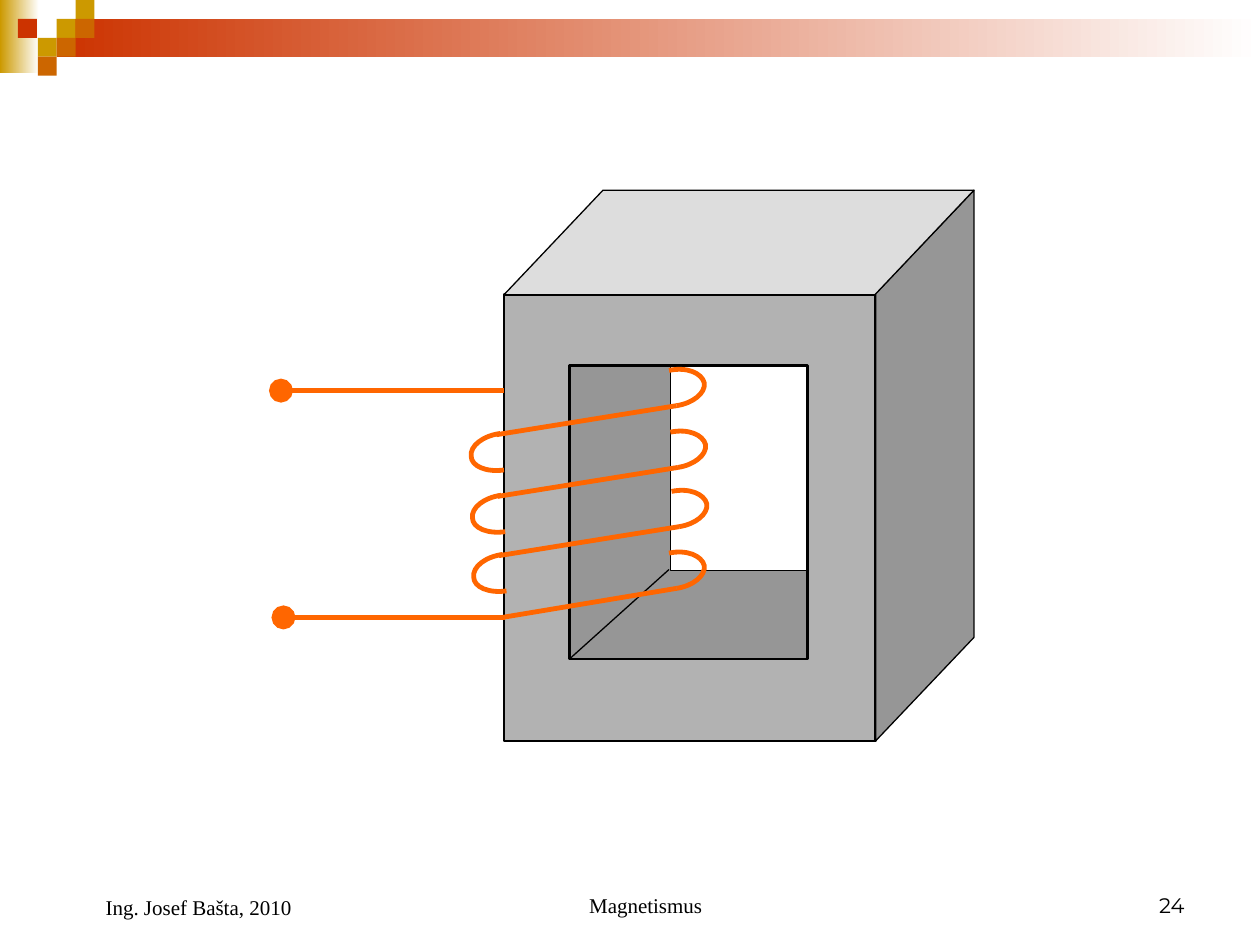
from dataclasses import dataclass

from lxml import etree
from pptx import Presentation
from pptx import util as u
from pptx.dml.color import RGBColor
from pptx.enum import shapes, text
from pptx.oxml import ns

Inches = u.Inches
KIND = shapes.MSO_SHAPE


@dataclass(frozen=True)
class Theme:
    gold: str = "CC9900"
    red: str = "CC3300"
    amber: str = "CC6600"
    white: str = "FFFFFF"
    black: str = "000000"
    front: str = "B2B2B2"
    shade: str = "969696"
    top: str = "DDDDDD"
    wire: str = "FF6600"
    serif: str = "Times New Roman"
    sans: str = "Montserrat"
    footer_size: float = 12
    thin: float = 0.75
    edge: float = 1.5
    wire_width: float = 2.75


THEME = Theme()


def color(value):
    return RGBColor.from_string(value)


def apply(target, formats):
    for name, value in formats.items():
        setattr(target, name, value)


def set_line(shape, value, width):
    shape.line.color.rgb = color(value)
    shape.line.width = u.Pt(width)


def add_block(group, kind, box, fill, width=None):
    """Add a preset shape; a fill of two colours runs from left to right."""
    shape = group.shapes.add_shape(kind, *map(Inches, box))
    shape.shadow.inherit = False
    if isinstance(fill, tuple):
        shape.fill.gradient()
        shape.fill.gradient_angle = 180
        for stop, value in zip(shape.fill.gradient_stops, reversed(fill)):
            stop.color.rgb = color(value)
    else:
        shape.fill.solid()
        shape.fill.fore_color.rgb = color(fill)
    if width:
        set_line(shape, THEME.black, width)
    else:
        shape.line.fill.background()
    return shape


def add_line(group, start, end, value, width, dot=False):
    line = group.shapes.add_connector(
        shapes.MSO_CONNECTOR.STRAIGHT, *map(Inches, (*start, *end)))
    set_line(line, value, width)
    if dot:
        etree.SubElement(line.line._get_or_add_ln(), ns.qn("a:tailEnd"),
                         type="oval", w="lg", len="lg")
    etree.SubElement(line._element.spPr, ns.qn("a:effectLst"))


def add_curve(group, origin, points, value, width):
    """Draw cubic curves: a start point, then three points for each curve."""
    points = [(Inches(origin[0] + x), Inches(origin[1] + y)) for x, y in points]
    builder = group.shapes.build_freeform(*points[0])
    builder.add_line_segments(points[1:], close=False)
    curve = builder.convert_to_shape()
    curve.shadow.inherit = False
    curve.fill.background()
    set_line(curve, value, width)
    # Turn each run of three straight segments into one cubic segment
    outline = curve._element.spPr.find(".//" + ns.qn("a:path"))
    segments = outline.findall(ns.qn("a:lnTo"))
    for first in range(0, len(segments), 3):
        cubic = etree.SubElement(outline, ns.qn("a:cubicBezTo"))
        for segment in segments[first:first + 3]:
            cubic.append(segment[0])
            outline.remove(segment)


def header_band(page, left, top, width):
    group = page.shapes.add_group_shape()
    cell = 0.15
    add_block(group, KIND.RECTANGLE, (left, top, 0.31, 0.58),
              (THEME.gold, THEME.white))
    add_block(group, KIND.RECTANGLE,
              (left + 3 * cell, top + cell, width - 3 * cell, 2 * cell),
              (THEME.red, THEME.white))
    # Squares by column and row
    for column, row, fill in (
            (3, 1, THEME.gold), (4, 0, THEME.gold), (4, 1, THEME.amber),
            (2, 2, THEME.gold), (0.95, 1, THEME.red),
            (3, 2, THEME.amber), (2, 3, THEME.amber)):
        add_block(group, KIND.RECTANGLE,
                  (left + column * cell, top + row * cell, cell, cell), fill)


def iron_core(page, left, top, width, height):
    group = page.shapes.add_group_shape()
    depth, rise = 0.78, 0.83
    face_width, face_height = width - depth, height - rise
    face_top = top + rise
    # Front face and window
    add_block(group, KIND.RECTANGLE, (left, face_top, face_width, face_height),
              THEME.front, THEME.edge)
    add_block(group, KIND.RECTANGLE, (left + 0.52, face_top + 0.56, 1.89, 2.33),
              THEME.shade, THEME.edge)
    # Right side: a lying parallelogram turned upright about its centre
    side = add_block(
        group, KIND.PARALLELOGRAM,
        (left + face_width + (depth - height) / 2, top + (height - depth) / 2,
         height, depth), THEME.shade, THEME.thin)
    side.adjustments[0] = 1.052
    side.rotation = 90
    side._element.spPr.xfrm.set("flipV", "1")
    # Top
    lid = add_block(group, KIND.PARALLELOGRAM, (left, top, width, rise),
                    THEME.top, THEME.thin)
    lid.adjustments[0] = 0.947
    # Opening and inner edge
    add_block(group, KIND.RECTANGLE, (left + 1.32, top + 1.4, 1.08, 1.62),
              THEME.white, THEME.thin)
    add_line(group, (left + 1.31, top + 3.01), (left + 0.52, top + 3.72),
             THEME.black, THEME.thin)


def coil(page, left, top):
    group = page.shapes.add_group_shape()
    wire = (THEME.wire, THEME.wire_width)
    right_bend = [(0, 0), (0.14, -0.03), (0.26, 0.02), (0.28, 0.1),
                  (0.29, 0.18), (0.19, 0.26), (0.06, 0.28)]
    left_bend = [(0, 0), (-0.14, 0.02), (-0.24, 0.1), (-0.23, 0.18),
                 (-0.23, 0.26), (-0.11, 0.31), (0.03, 0.29)]
    # Turns: horizontal shift and vertical position of each
    turns = [(0, 0), (0.01, 0.49), (0.02, 0.96), (0, 1.45)]
    for index, (shift, drop) in enumerate(turns):
        x, y = left + shift, top + drop
        last = index == len(turns) - 1
        add_curve(group, (x + 3.08, y), right_bend, *wire)
        if not last:
            add_curve(group, (x + 1.74, y + 0.5), left_bend, *wire)
        add_line(group, (x + (1.76 if last else 1.71), y + 0.51),
                 (x + 3.14, y + 0.28), *wire)
    # Terminals
    for start, end, drop in ((1.77, 0, 0.16), (1.78, 0.02, 1.96)):
        add_line(group, (left + start, top + drop), (left + end, top + drop),
                 *wire, dot=True)


def footer(page, left, top, width):
    align = text.PP_ALIGN
    items = (
        ("Magnetismus", (left + 2.92, 3.17, 0.5), align.CENTER, THEME.serif, 0.24),
        ("24", (left + width - 2.33, 2.33, 0.5), align.RIGHT, THEME.sans, 0),
        ("Ing. Josef Bašta, 2010", (left, 2.33, 0.52), align.LEFT, THEME.serif, 0.24),
    )
    for wording, (x, box_width, height), alignment, font, indent in items:
        box = page.shapes.add_textbox(*map(Inches, (x, top, box_width, height)))
        apply(box.text_frame, {"word_wrap": True,
                               "vertical_anchor": text.MSO_ANCHOR.BOTTOM})
        para = box.text_frame.paragraphs[0]
        para.alignment = alignment
        if indent:
            para._p.get_or_add_pPr().set("marL", str(Inches(indent)))
        span = para.add_run()
        span.text = wording
        apply(span.font, {"name": font, "size": u.Pt(THEME.footer_size)})
        span.font.color.rgb = color(THEME.black)


def main():
    deck = Presentation()
    apply(deck, {"slide_width": Inches(10), "slide_height": Inches(7.5)})
    page = deck.slides.add_slide(deck.slide_layouts[6])
    header_band(page, 0, 0, 10)
    iron_core(page, 4, 1.51, 3.73, 4.37)
    coil(page, 2.23, 2.94)
    footer(page, 0.5, 6.83, 9)
    deck.save("out.pptx")


if __name__ == "__main__":
    main()
